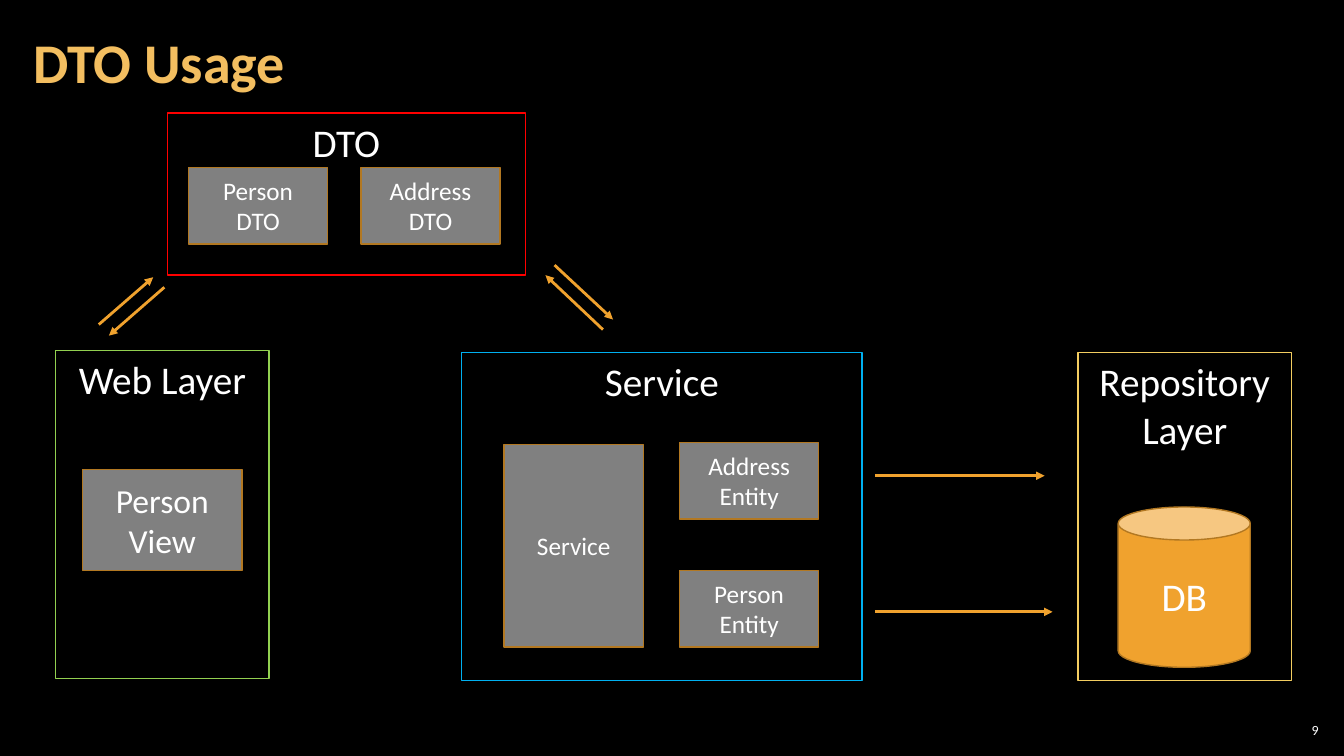
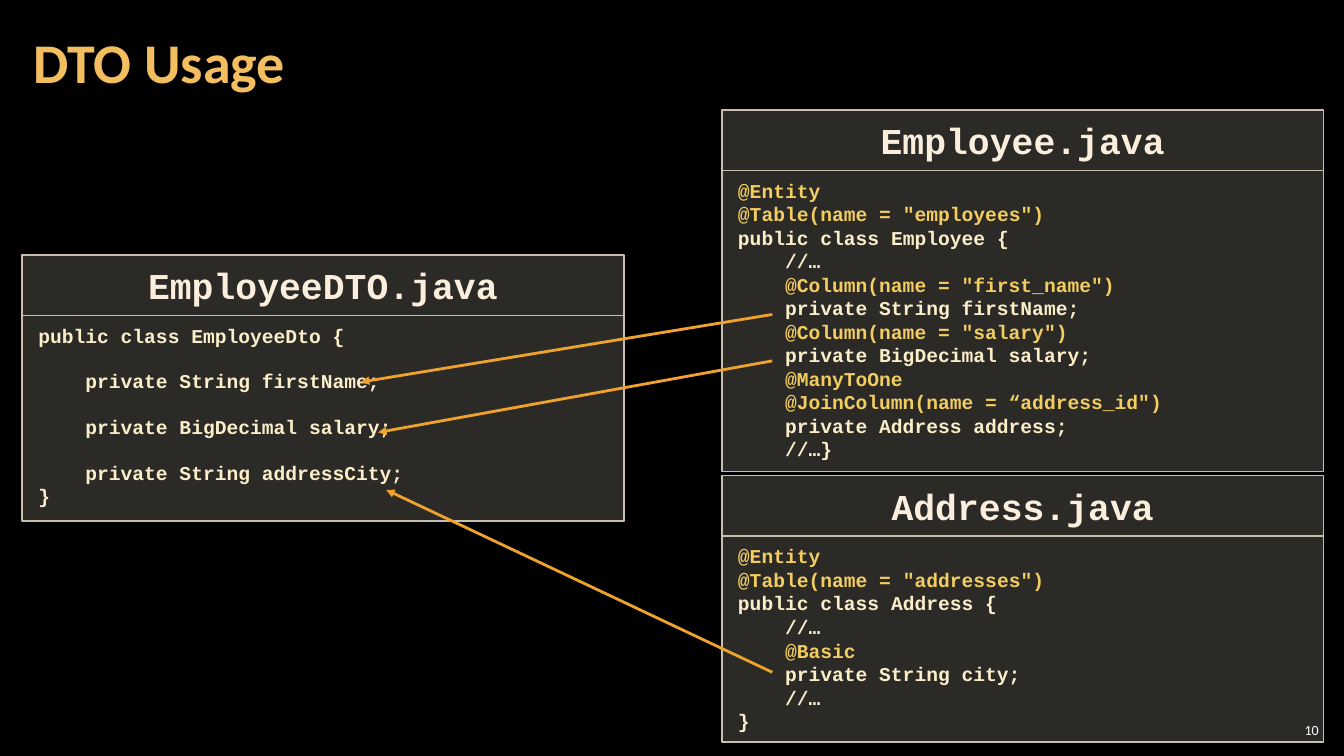
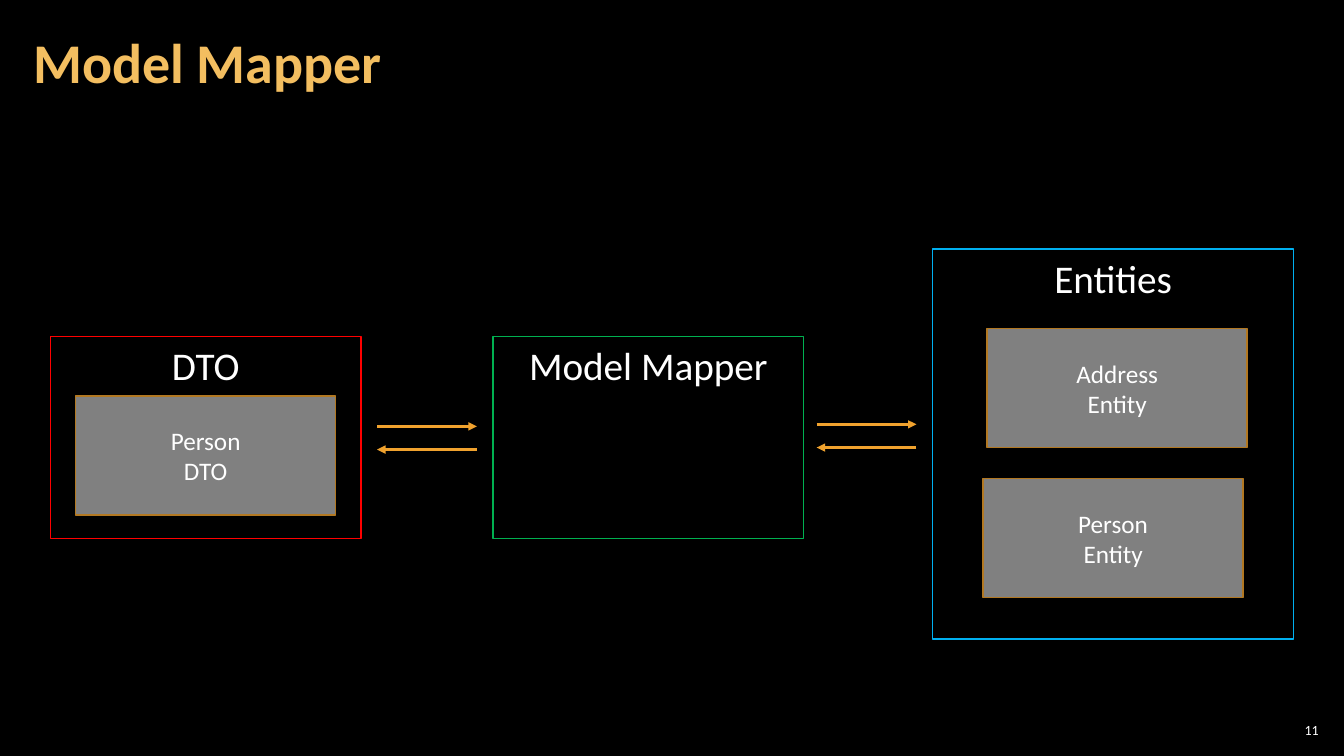
from dataclasses import dataclass
from typing import Optional

import lxml.etree
import pptx
import pptx.dml.color
import pptx.enum.shapes
import pptx.enum.text
import pptx.oxml.ns
import pptx.util

Inches = pptx.util.Inches
Pt = pptx.util.Pt
qn = pptx.oxml.ns.qn
Preset = pptx.enum.shapes.MSO_SHAPE
Anchor = pptx.enum.text.MSO_ANCHOR
Align = pptx.enum.text.PP_ALIGN

BLACK, WHITE, GRAY = "000000", "FFFFFF", "808080"
TITLE_GOLD, ORANGE, BROWN = "F3BE60", "F0A22E", "B27822"
RED, BLUE, LIME, GREEN = "FF0000", "00B0F0", "92D050", "00B050"
ANNOTATION, CODE_TEXT, FILE_NAME = "F3CD60", "FBEEC9", "FBEEDC"
PANEL_FILL, PANEL_LINE, PANEL_OPACITY = "D9D5C7", "C7BFAC", 20
BODY_FONT, CODE_FONT = "Calibri", "Courier New"

CODE_SIZE = 14
CODE_CHARACTER = 0.6 * CODE_SIZE
CODE_LINE = 1.13 * CODE_SIZE
PANEL_WIDTH, HEADER_HEIGHT = 5.97, 0.6


@dataclass
class Box:
    left: float
    top: float
    width: float
    height: float
    text: str
    size: int = 18
    line: str = BROWN
    fill: Optional[str] = GRAY
    anchor: Anchor = Anchor.MIDDLE
    preset: Preset = Preset.RECTANGLE


@dataclass
class Arrow:
    start_x: float
    start_y: float
    end_x: float
    end_y: float


@dataclass
class CodePanel:
    left: float
    top: float
    body_height: float
    file_name: str
    code: str


@dataclass
class Diagram:
    title: str
    boxes: list[Box]
    arrows: list[Arrow]
    panels: list[CodePanel]


def frame(left: float, top: float, width: float, height: float,
          text: str, line: str) -> Box:
    """Unfilled group outline with its heading at the top."""
    return Box(left, top, width, height, text, 28, line, None, Anchor.TOP)


def arrow_pair(left: float, top: float) -> list[Arrow]:
    """One arrow to the right and one back beneath it."""
    right, bottom = left + 0.99, top + 0.23
    return [Arrow(left, top, right, top), Arrow(right, bottom, left, bottom)]


def rgb(value: str) -> pptx.dml.color.RGBColor:
    return pptx.dml.color.RGBColor.from_string(value)


def add_span(para, text: str, size: float, color: str,
             font: str = BODY_FONT, bold: bool = False) -> None:
    span = para.add_run()
    span.text = text
    span.font.name = font
    span.font.size = Pt(size)
    span.font.bold = bold
    span.font.color.rgb = rgb(color)


def set_frame(text_frame, anchor: Anchor, side: float, end: float) -> None:
    text_frame.word_wrap = True
    text_frame.vertical_anchor = anchor
    text_frame.margin_left = text_frame.margin_right = Inches(side)
    text_frame.margin_top = text_frame.margin_bottom = Inches(end)


def add_label(page, left: float, top: float, width: float, height: float, side: float):
    """Text box centred vertically; returns its first paragraph."""
    label = page.shapes.add_textbox(Inches(left), Inches(top), Inches(width), Inches(height))
    set_frame(label.text_frame, Anchor.MIDDLE, side, 0.04)
    return label.text_frame.paragraphs[0]


def add_outline(page, preset: Preset, left: float, top: float, width: float,
                height: float, line: str, fill: Optional[str]):
    shape = page.shapes.add_shape(
        preset, Inches(left), Inches(top), Inches(width), Inches(height))
    shape.shadow.inherit = False
    shape.line.color.rgb = rgb(line)
    shape.line.width = Pt(1)
    if fill is None:
        shape.fill.background()
    else:
        shape.fill.solid()
        shape.fill.fore_color.rgb = rgb(fill)
    return shape


def draw_box(page, box: Box) -> None:
    shape = add_outline(page, box.preset, box.left, box.top, box.width, box.height,
                        box.line, box.fill)
    set_frame(shape.text_frame, box.anchor, 0.1, 0.05)
    para = shape.text_frame.paragraphs[0]
    para.alignment = Align.CENTER
    for index, words in enumerate(box.text.split("\n")):
        if index:
            para.add_line_break()
        add_span(para, words, box.size, WHITE)


def draw_arrow(page, arrow: Arrow) -> None:
    connector = page.shapes.add_connector(
        pptx.enum.shapes.MSO_CONNECTOR.STRAIGHT,
        Inches(arrow.start_x), Inches(arrow.start_y),
        Inches(arrow.end_x), Inches(arrow.end_y))
    connector.line.color.rgb = rgb(ORANGE)
    connector.line.width = Pt(2)
    properties = connector._element.spPr
    lxml.etree.SubElement(properties.find(qn("a:ln")), qn("a:tailEnd"), type="triangle")
    lxml.etree.SubElement(properties, qn("a:effectLst"))


def add_panel_part(page, left: float, top: float, height: float):
    """Translucent rectangle; returns its text frame."""
    shape = add_outline(page, Preset.RECTANGLE, left, top, PANEL_WIDTH, height,
                        PANEL_LINE, PANEL_FILL)
    color = shape._element.spPr.find(qn("a:solidFill"))[0]
    lxml.etree.SubElement(color, qn("a:alpha"), val=str(PANEL_OPACITY * 1000))
    set_frame(shape.text_frame, Anchor.TOP, 0.16, 0.08)
    return shape.text_frame


def write_code(text_frame, code: str) -> None:
    """Turn leading spaces into indents and empty lines into space before."""
    para, gap = text_frame.paragraphs[0], 0.0
    for index, line in enumerate(code.strip().split("\n")):
        words = line.strip()
        if not words:
            gap += CODE_LINE
            continue
        if index:
            para = text_frame.add_paragraph()
        para.alignment = Align.LEFT
        para.space_before = Pt(gap)
        indent = Pt((len(line) - len(words)) * CODE_CHARACTER)
        para._p.get_or_add_pPr().set("marL", str(indent))
        color = ANNOTATION if words.startswith("@") else CODE_TEXT
        add_span(para, words, CODE_SIZE, color, CODE_FONT, True)
        gap = 0.0


def draw_panel(page, panel: CodePanel) -> None:
    body = add_panel_part(page, panel.left, panel.top + HEADER_HEIGHT, panel.body_height)
    write_code(body, panel.code)
    header = add_panel_part(page, panel.left, panel.top, HEADER_HEIGHT)
    para = header.paragraphs[0]
    para.alignment = Align.CENTER
    add_span(para, panel.file_name, 26, FILE_NAME, CODE_FONT, True)


def draw_page(deck, number: int, diagram: Diagram) -> None:
    page = deck.slides.add_slide(deck.slide_layouts[6])
    para = add_label(page, 0.21, 0.04, 10.47, 1.21, 0.12)
    para.line_spacing = 0.9
    add_span(para, diagram.title, 40, TITLE_GOLD, bold=True)
    for panel in diagram.panels:
        draw_panel(page, panel)
    for box in diagram.boxes:
        draw_box(page, box)
    for arrow in diagram.arrows:
        draw_arrow(page, arrow)
    para = add_label(page, 12.65, 7.14, 0.47, 0.21, 0.04)
    para.alignment = Align.RIGHT
    add_span(para, str(number), 10, WHITE)


EMPLOYEE_CODE = """
@Entity
@Table(name = "employees")
public class Employee {
    //…
    @Column(name = "first_name")
    private String firstName;
    @Column(name = "salary")
    private BigDecimal salary;
    @ManyToOne
    @JoinColumn(name = “address_id")
    private Address address;
    //…}
"""

ADDRESS_CODE = """
@Entity
@Table(name = "addresses")
public class Address {
    //…
    @Basic
    private String city;
    //…
}
"""

EMPLOYEE_DTO_CODE = """
public class EmployeeDto {

    private String firstName;

    private BigDecimal salary;

    private String addressCity;
}
"""

LAYERS = Diagram(
    "DTO Usage",
    boxes=[
        frame(0.55, 3.48, 2.12, 3.25, "Web Layer", LIME),
        Box(0.82, 4.66, 1.58, 1, "Person\nView", 24),
        frame(4.58, 3.5, 3.97, 3.25, "Service", BLUE),
        Box(6.74, 4.39, 1.38, 0.76, "Address\nEntity"),
        Box(6.74, 5.66, 1.38, 0.76, "Person\nEntity"),
        Box(5, 4.41, 1.38, 2.01, "Service"),
        frame(10.69, 3.5, 2.12, 3.25, "Repository Layer", ANNOTATION),
        Box(11.09, 5.03, 1.31, 1.59, "DB", 28, fill=ORANGE, preset=Preset.CAN),
        Box(1.87, 1.66, 1.38, 0.76, "Person\nDTO"),
        Box(3.58, 1.66, 1.38, 0.76, "Address\nDTO"),
        frame(1.66, 1.12, 3.55, 1.61, "DTO", RED),
    ],
    arrows=[
        Arrow(8.68, 4.72, 10.36, 4.72),
        Arrow(8.68, 6.07, 10.44, 6.07),
        Arrow(5.98, 3.27, 5.41, 2.73),
        Arrow(5.5, 2.63, 6.08, 3.17),
        Arrow(0.98, 3.22, 1.52, 2.75),
        Arrow(1.63, 2.85, 1.08, 3.33),
    ],
    panels=[],
)

CLASSES = Diagram(
    "DTO Usage",
    boxes=[],
    arrows=[
        Arrow(7.66, 6.67, 3.83, 4.86),
        Arrow(7.66, 3.58, 3.75, 4.29),
        Arrow(7.66, 3.12, 3.58, 3.79),
    ],
    panels=[
        CodePanel(7.16, 1.09, 2.99, "Employee.java", EMPLOYEE_CODE),
        CodePanel(7.16, 4.72, 2.04, "Address.java", ADDRESS_CODE),
        CodePanel(0.22, 2.53, 2.04, "EmployeeDTO.java", EMPLOYEE_DTO_CODE),
    ],
)

MAPPER = Diagram(
    "Model Mapper",
    boxes=[
        frame(9.25, 2.47, 3.58, 3.87, "Entities", BLUE),
        Box(9.79, 3.26, 2.58, 1.18, "Address\nEntity"),
        Box(9.75, 4.75, 2.58, 1.18, "Person\nEntity"),
        frame(0.5, 3.34, 3.08, 2, "DTO", RED),
        Box(0.75, 3.93, 2.58, 1.18, "Person\nDTO"),
        frame(4.89, 3.34, 3.08, 2, "Model Mapper", GREEN),
    ],
    arrows=arrow_pair(8.1, 4.21) + arrow_pair(3.74, 4.23),
    panels=[],
)


def main() -> None:
    deck = pptx.Presentation()
    deck.slide_width, deck.slide_height = Inches(13.33), Inches(7.5)
    background = deck.slide_master.background.fill
    background.solid()
    background.fore_color.rgb = rgb(BLACK)
    for number, diagram in enumerate([LAYERS, CLASSES, MAPPER], start=9):
        draw_page(deck, number, diagram)
    deck.save("out.pptx")


if __name__ == "__main__":
    main()
